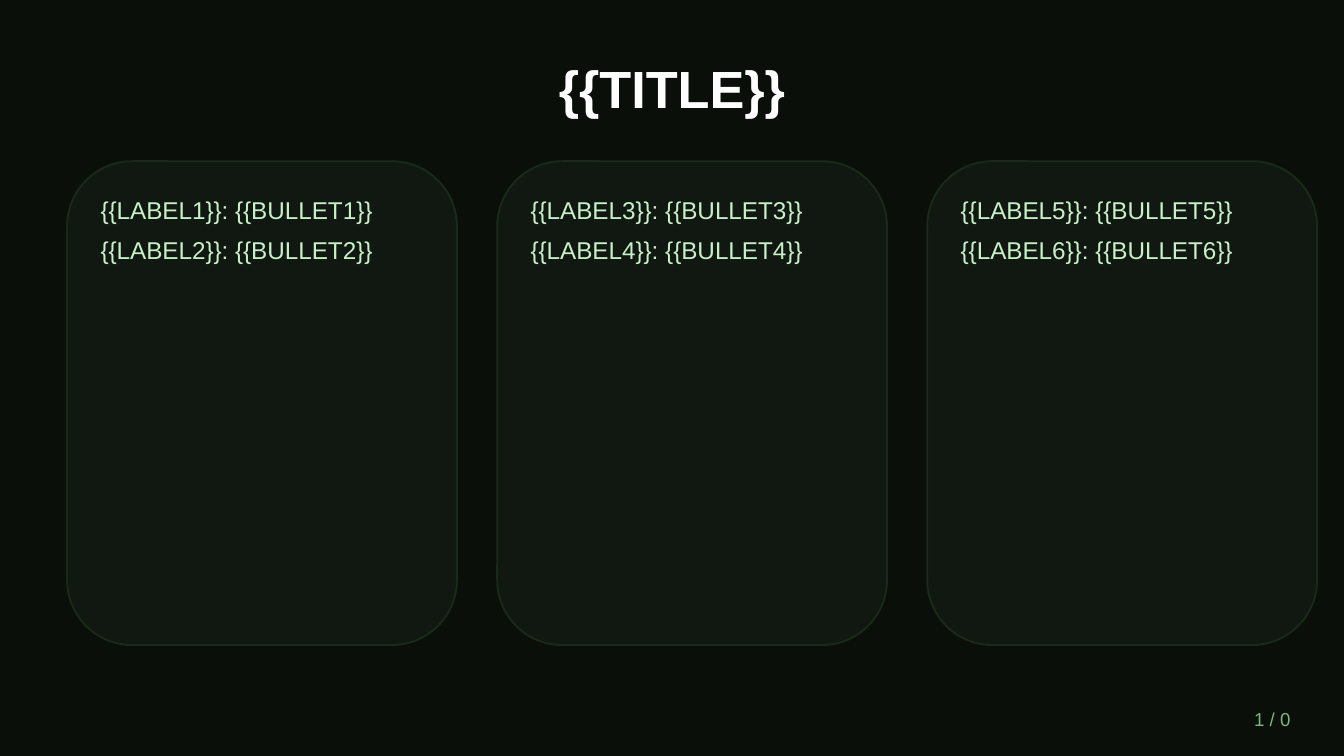
import pptx
import pptx.dml.color
import pptx.enum.shapes
import pptx.enum.text
import pptx.oxml
import pptx.oxml.ns
import pptx.util

Inches = pptx.util.Inches
ALIGN = pptx.enum.text.PP_ALIGN
ANCHOR = pptx.enum.text.MSO_ANCHOR

TITLE = "{{TITLE}}"
COLUMNS = [
    ["{{LABEL1}}: {{BULLET1}}", "{{LABEL2}}: {{BULLET2}}"],
    ["{{LABEL3}}: {{BULLET3}}", "{{LABEL4}}: {{BULLET4}}"],
    ["{{LABEL5}}: {{BULLET5}}", "{{LABEL6}}: {{BULLET6}}"],
]
PAGE_NUMBER = "1 / 0"

COLORS = {
    "background": "0A0F0A",
    "card": "121A12",
    "border": "1A2A1A",
    "title": "FFFFFF",
    "body": "C8F0C8",
    "page": "7CB87C",
}
FONT = "Arial"
CARD_LEFT, CARD_TOP, CARD_WIDTH, CARD_HEIGHT = 0.5, 1.2, 2.9, 3.6
CARD_GAP = 0.3
PADDING_X, PADDING_Y = 0.15, 0.2
CARD_OPACITY = 90


def rgb(name):
    return pptx.dml.color.RGBColor.from_string(COLORS[name])


def write(shape, lines, *, size, color, bold=False, align=ALIGN.LEFT,
          anchor=ANCHOR.TOP, space_after=0):
    frame = shape.text_frame
    frame.word_wrap = True
    frame.auto_size = pptx.enum.text.MSO_AUTO_SIZE.NONE
    frame.vertical_anchor = anchor
    frame.text = "\n".join(lines)
    for paragraph in frame.paragraphs:
        paragraph.alignment = align
        paragraph.space_after = pptx.util.Pt(space_after)
        font = paragraph.font
        font.name, font.size, font.bold = FONT, pptx.util.Pt(size), bold
        font.color.rgb = rgb(color)


def add_card(slide, left):
    card = slide.shapes.add_shape(
        pptx.enum.shapes.MSO_SHAPE.ROUNDED_RECTANGLE,
        Inches(left), Inches(CARD_TOP), Inches(CARD_WIDTH), Inches(CARD_HEIGHT))
    card.shadow.inherit = False
    card.fill.solid()
    card.fill.fore_color.rgb = rgb("card")
    fill_color = card.fill._xPr.find(".//" + pptx.oxml.ns.qn("a:srgbClr"))
    alpha = pptx.oxml.parse_xml(
        f'<a:alpha {pptx.oxml.ns.nsdecls("a")} val="{CARD_OPACITY * 1000}"/>')
    fill_color.append(alpha)
    card.line.color.rgb = rgb("border")
    card.line.width = pptx.util.Pt(1)


def main():
    deck = pptx.Presentation()
    deck.slide_width = Inches(10)
    deck.slide_height = deck.slide_width * 9 // 16
    slide = deck.slides.add_slide(deck.slide_layouts.get_by_name("Title Only"))
    slide.background.fill.solid()
    slide.background.fill.fore_color.rgb = rgb("background")

    title = slide.shapes.title
    title.left, title.top = Inches(0.5), Inches(0.3)
    title.width, title.height = Inches(9), Inches(0.7)
    write(title, [TITLE], size=28, color="title", bold=True,
          align=ALIGN.CENTER, anchor=ANCHOR.MIDDLE)

    for index, bullets in enumerate(COLUMNS):
        left = CARD_LEFT + index * (CARD_WIDTH + CARD_GAP)
        add_card(slide, left)
        bullet_list = slide.shapes.add_textbox(
            Inches(left + PADDING_X), Inches(CARD_TOP + PADDING_Y),
            Inches(CARD_WIDTH - 2 * PADDING_X), Inches(CARD_HEIGHT - 2 * PADDING_Y))
        write(bullet_list, bullets, size=13, color="body", space_after=6)

    page_number = slide.shapes.add_textbox(
        Inches(8.5), Inches(5.2), Inches(1.2), Inches(0.3))
    write(page_number, [PAGE_NUMBER], size=10, color="page",
          align=ALIGN.RIGHT, anchor=ANCHOR.MIDDLE)

    deck.save("out.pptx")


if __name__ == "__main__":
    main()
